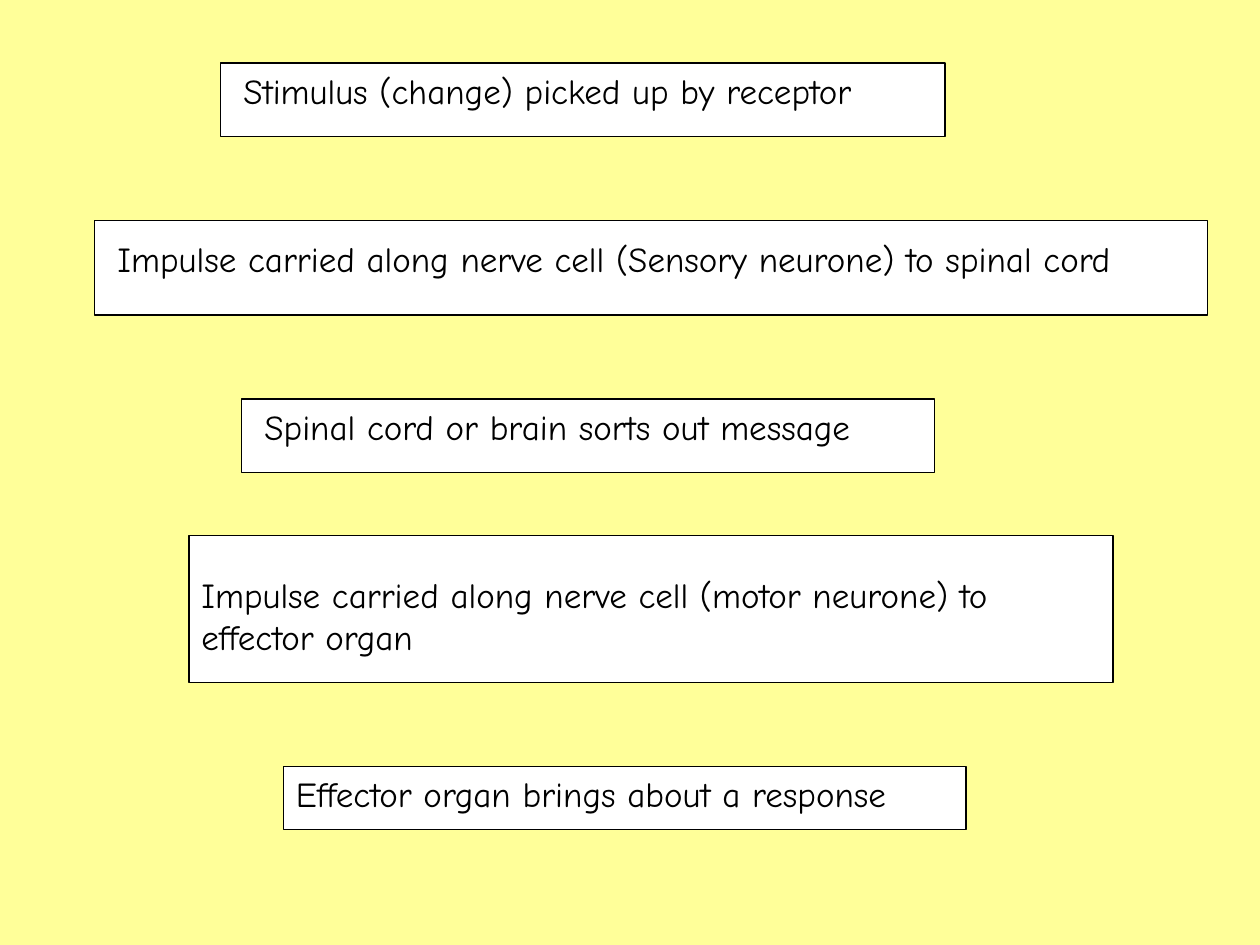
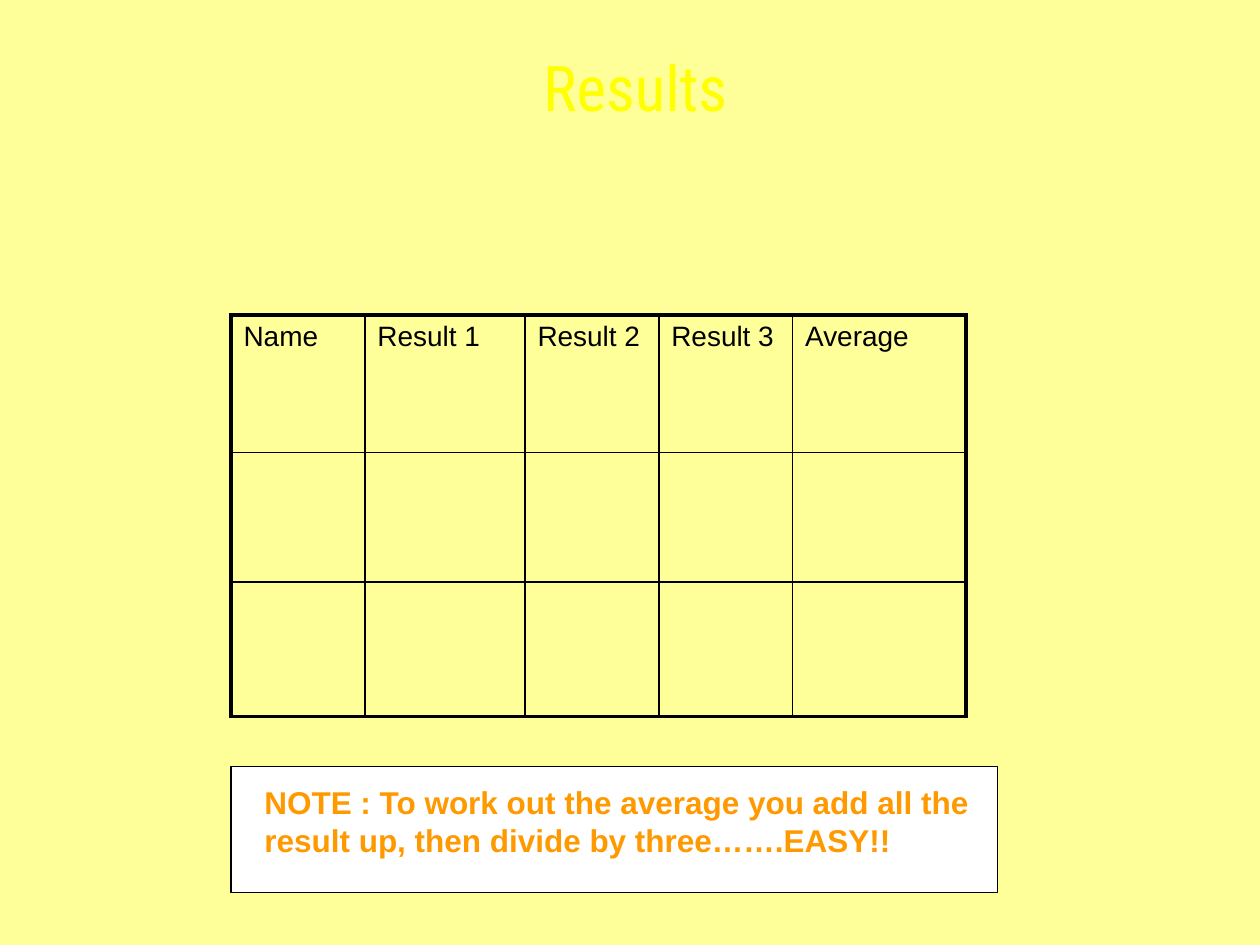
from lxml import etree
from pptx import Presentation
from pptx.dml.color import RGBColor
from pptx.enum.shapes import MSO_SHAPE as SHAPE
from pptx.enum.text import MSO_ANCHOR as ANCHOR, MSO_AUTO_SIZE as AUTOSIZE
from pptx.oxml.ns import qn
from pptx.util import Pt

PAPER, WHITE, BLACK = "FFFF99", "FFFFFF", "000000"
YELLOW, ORANGE = "FFFF00", "FF9900"


def color(hex_code):
    return RGBColor.from_string(hex_code)


def add_label(s, panel, box, text, font, size, text_color, bold=False):
    """White outlined panel with a caption laid over it."""
    sp = s.shapes.add_shape(SHAPE.RECTANGLE, *map(Pt, panel))
    sp.shadow.inherit = False
    sp.fill.solid()
    sp.fill.fore_color.rgb = color(WHITE)
    sp.line.color.rgb = color(BLACK)
    sp.line.width = Pt(0.75)

    tf = s.shapes.add_textbox(*map(Pt, box)).text_frame
    tf.word_wrap = True
    p = tf.paragraphs[0]
    p.text = text
    p.font.name, p.font.size, p.font.bold = font, Pt(size), bold
    p.font.color.rgb = color(text_color)


prs = Presentation()
prs.slide_width, prs.slide_height = Pt(720), Pt(540)

# Shared background
bg = prs.slide_master.background.fill
bg.solid()
bg.fore_color.rgb = color(PAPER)

# Slide 1: steps of the nerve response
s = prs.slides.add_slide(prs.slide_layouts[6])
steps = [
    ((126, 36, 414, 42), (132, 36, 516, 31),
     "Stimulus (change) picked up by receptor"),
    ((54, 126, 636, 54), (60, 132, 624, 31),
     "Impulse carried along nerve cell (Sensory neurone) to spinal cord"),
    ((138, 228, 396, 42), (144, 228, 498, 31),
     "Spinal cord or brain sorts out message"),
    ((108, 306, 528, 84), (108, 324, 498, 55),
     "Impulse carried along nerve cell (motor neurone) to effector organ"),
    ((162, 438, 390, 36), (162, 438, 432, 31),
     "Effector organ brings about a response"),
]
for panel, box, text in steps:
    add_label(s, panel, box, text, "Comic Neue", 20, BLACK)

# Slide 2: title
s = prs.slides.add_slide(prs.slide_layouts[5])
title = s.shapes.title
title.left, title.top, title.width, title.height = map(Pt, (234, 24, 258, 93))
tf = title.text_frame
tf.word_wrap = False
tf.auto_size = AUTOSIZE.NONE
tf.vertical_anchor = ANCHOR.TOP
p = tf.paragraphs[0]
p.text = "Results"
p.font.name, p.font.size = "Roboto Condensed", Pt(36)
p.font.color.rgb = color(YELLOW)

# Slide 2: note on averages
add_label(s, (132, 438, 438, 72), (144, 444, 438, 50),
          "NOTE : To work out the average you add all the result up, "
          "then divide by three…….EASY!!", "Arial", 18, ORANGE, True)

# Slide 2: results table
headers = ["Name", "Result 1", "Result 2", "Result 3", "Average"]
col_widths = [76.5, 91.5, 76.5, 76.5, 99]
row_heights = [78.5, 74, 77]
n_rows, n_cols = len(row_heights), len(col_widths)
table = s.shapes.add_table(n_rows, n_cols, Pt(132), Pt(180),
                           Pt(sum(col_widths)), Pt(sum(row_heights))).table
table.first_row = table.horz_banding = False
for col, width in zip(table.columns, col_widths):
    col.width = Pt(width)
for row, height in zip(table.rows, row_heights):
    row.height = Pt(height)

for r in range(n_rows):
    for c in range(n_cols):
        cell = table.cell(r, c)
        # Thick frame outside, thin grid inside
        outer_edges = {"lnL": c == 0, "lnR": c == n_cols - 1,
                       "lnT": r == 0, "lnB": r == n_rows - 1}
        tc_pr = cell._tc.get_or_add_tcPr()
        for edge, is_outer in outer_edges.items():
            ln = etree.SubElement(tc_pr, qn(f"a:{edge}"),
                                  w=str(Pt(2.25 if is_outer else 1)))
            fill = etree.SubElement(ln, qn("a:solidFill"))
            etree.SubElement(fill, qn("a:srgbClr"), val=BLACK)
        cell.fill.background()
        p = cell.text_frame.paragraphs[0]
        if r == 0:
            p.text = headers[c]
        p.font.name, p.font.size = "Arial", Pt(16)
        p.font.color.rgb = color(BLACK)

prs.save("out.pptx")
